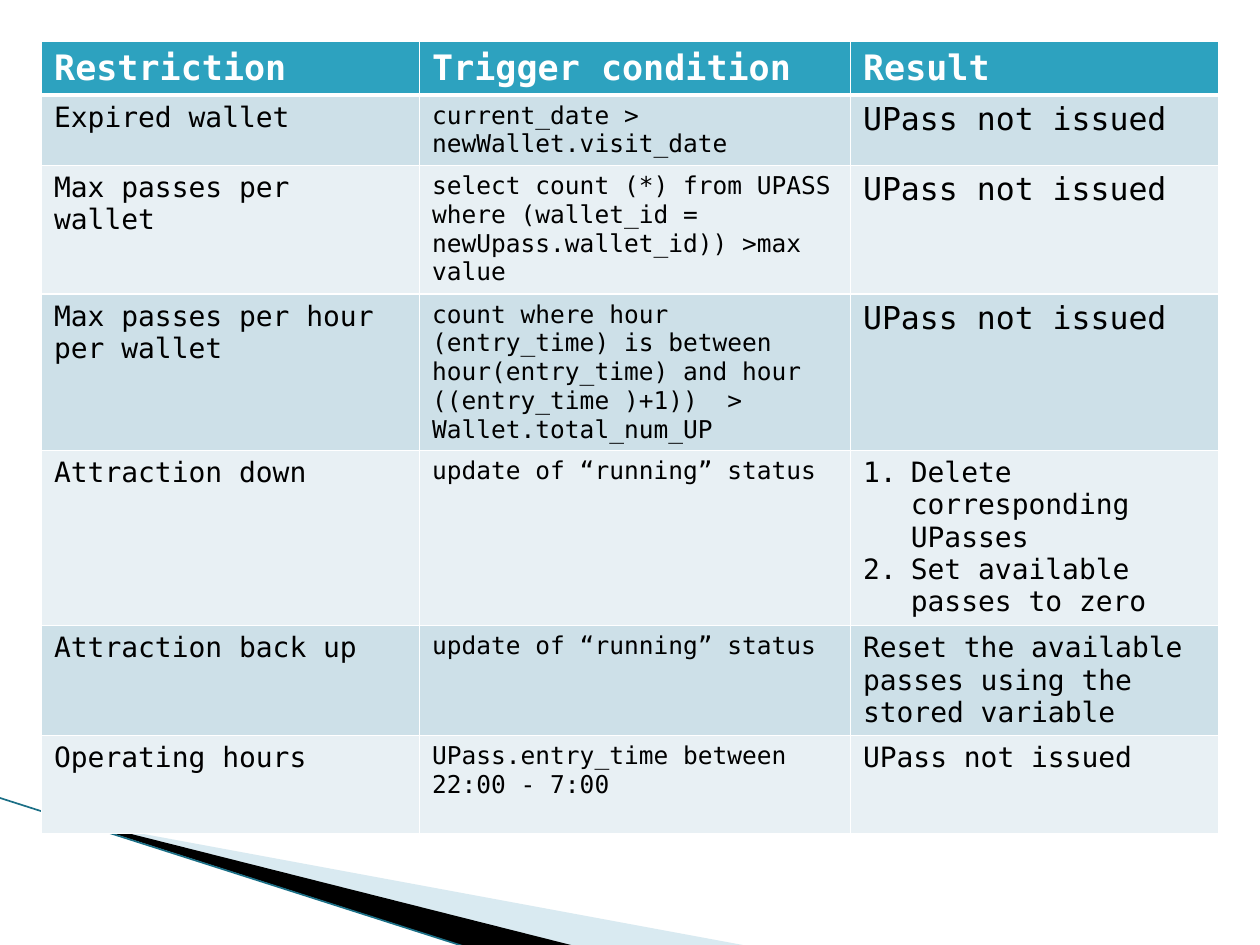
import pptx
import pptx.util
import pptx.dml.color
import pptx.enum.shapes
import pptx.oxml
import pptx.oxml.ns
from lxml import etree

Inches = pptx.util.Inches
Pt = pptx.util.Pt
RGBColor = pptx.dml.color.RGBColor
qn = pptx.oxml.ns.qn

WHITE = RGBColor(0xFF, 0xFF, 0xFF)
BLACK = RGBColor(0, 0, 0)
TEAL = RGBColor(0x2D, 0xA2, 0xBF)
DARK_TEAL = RGBColor(0x1B, 0x6F, 0x86)
PALE_TEAL = RGBColor(0xA0, 0xCB, 0xDC)
BANDS = (RGBColor(0xCD, 0xE0, 0xE8), RGBColor(0xE8, 0xF0, 0xF4))
FONT = "DejaVu Sans Mono"

COLUMN_WIDTHS = (3, 3.42, 2.92)
ROW_HEIGHTS = (0.41, 0.56, 1.02, 1.24, 1.39, 0.87, 0.78)
HEADINGS = ("Restriction", "Trigger condition", "Result")
RESTRICTIONS = (
    ("Expired wallet", "current_date > newWallet.visit_date", "UPass not issued"),
    ("Max passes per wallet",
     "select count (*) from UPASS where (wallet_id = newUpass.wallet_id)) >max value",
     "UPass not issued"),
    ("Max passes per hour per wallet",
     "count where hour (entry_time) is between hour(entry_time) and hour "
     "((entry_time )+1))  > Wallet.total_num_UP",
     "UPass not issued"),
    ("Attraction down", "update of “running” status",
     "Delete corresponding UPasses\nSet available passes to zero"),
    ("Attraction back up", "update of “running” status",
     "Reset the available passes using the stored variable"),
    ("Operating hours", "UPass.entry_time between \n22:00 - 7:00", "UPass not issued"),
)
LARGE_RESULT_ROWS = (1, 2, 3)
NUMBERED_ROW = 4


def add_wedge(page, left, top, points, color, opacity=100):
    """Draw a filled outline whose points are relative to left and top."""
    corners = [(Inches(left + x), Inches(top + y)) for x, y in points]
    builder = page.shapes.build_freeform(*corners[0])
    builder.add_line_segments(corners[1:], close=True)
    wedge = builder.convert_to_shape()
    wedge.shadow.inherit = False
    wedge.fill.solid()
    wedge.fill.fore_color.rgb = color
    wedge.line.fill.background()
    if opacity < 100:
        tint = wedge.fill._xPr.find(qn("a:solidFill"))[0]
        etree.SubElement(tint, qn("a:alpha"), val=str(opacity * 1000))


def add_corner_decor(page, left, top):
    """Draw the wedges and slanted line at the foot of the slide."""
    add_wedge(page, left + 0.55, top + 0.17,
              ((0, 0.01), (5.4, 1.01), (4.01, 1.01), (0, 0)), PALE_TEAL, 40)
    add_wedge(page, left + 0.53, top + 0.16,
              ((0, 0), (4.04, 1.02), (3.19, 1.03), (0.01, 0.01)), BLACK)
    edge = page.shapes.add_connector(
        pptx.enum.shapes.MSO_CONNECTOR.STRAIGHT,
        Inches(left - 0.01), Inches(top), Inches(left + 3.71), Inches(top + 1.19))
    edge.line.color.rgb = DARK_TEAL
    edge.line.width = Pt(0.95)
    etree.SubElement(edge._element.spPr, qn("a:effectLst"))


def set_borders(cell, widths):
    """Give a cell white borders, with widths in points by side."""
    properties = cell._tc.get_or_add_tcPr()
    for index, (side, width) in enumerate(widths.items()):
        border = etree.Element(qn(f"a:ln{side}"), w=str(Pt(width)))
        fill = etree.SubElement(border, qn("a:solidFill"))
        etree.SubElement(fill, qn("a:srgbClr"), val=str(WHITE))
        properties.insert(index, border)


def number_paragraph(para):
    """Turn a paragraph into an automatically numbered item."""
    properties = para._p.get_or_add_pPr()
    properties.set("marL", str(Inches(0.38)))
    properties.set("indent", str(-Inches(0.38)))
    bullet = etree.Element(qn("a:buAutoNum"), type="arabicPeriod")
    properties.insert(0, bullet)


def text_size(row, column):
    """Return the point size used in a table cell."""
    if row == 0:
        return 20
    if column == 2 and row in LARGE_RESULT_ROWS:
        return 18
    return 14 if column == 1 else 16


def fill_cell(cell, text, row, column):
    """Write and format one table cell."""
    cell.text = text
    cell.fill.solid()
    cell.fill.fore_color.rgb = BANDS[(row - 1) % 2] if row else TEAL
    set_borders(cell, {"L": 1, "R": 1, "T": 3 if row == 1 else 1,
                       "B": 1 if row else 3})
    for para in cell.text_frame.paragraphs:
        para.font.name = FONT
        para.font.size = Pt(text_size(row, column))
        para.font.bold = row == 0
        para.font.color.rgb = BLACK if row else WHITE
        if (row, column) == (NUMBERED_ROW, 2):
            number_paragraph(para)


def add_restriction_table(page, left, top):
    """Place the table of restrictions at left and top."""
    records = (HEADINGS, *RESTRICTIONS)
    table = page.shapes.add_table(
        len(records), len(HEADINGS), Inches(left), Inches(top),
        Inches(sum(COLUMN_WIDTHS)), Inches(sum(ROW_HEIGHTS))).table
    for column, width in zip(table.columns, COLUMN_WIDTHS):
        column.width = Inches(width)
    for row, height in zip(table.rows, ROW_HEIGHTS):
        row.height = Inches(height)
    for row, record in enumerate(records):
        for column, text in enumerate(record):
            fill_cell(table.cell(row, column), text, row, column)


def build_deck():
    """Build and save the one-slide deck."""
    deck = pptx.Presentation()
    deck.slide_width = Inches(10)
    deck.slide_height = Inches(7.5)
    page = deck.slides.add_slide(deck.slide_layouts[6])
    add_corner_decor(page, 0, 6.33)
    add_restriction_table(page, 0.33, 0.33)
    deck.save("out.pptx")


build_deck()
